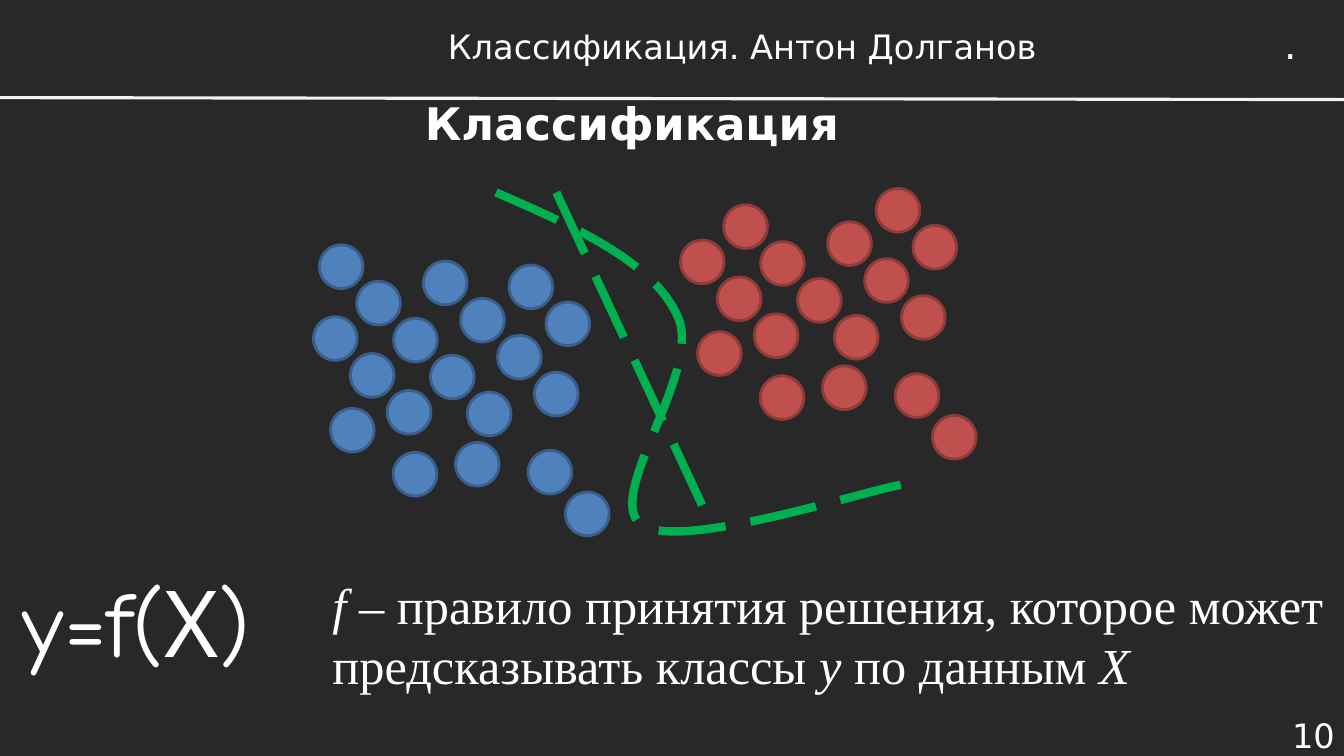
from dataclasses import dataclass

from lxml import etree
from pptx import Presentation
from pptx import util as u
from pptx.dml.color import RGBColor
from pptx.enum import dml, shapes, text
from pptx.oxml import ns

TITLE = "Классификация"
HEADER = "Классификация. Антон Долганов"
HEADER_MARK = "."
PAGE_NUMBER = "10"
FORMULA = "y=f(Х)"
RULE_RUNS = [
    ("f", True),
    (" – правило принятия решения, которое может предсказывать классы ", False),
    ("y ", True),
    ("по данным ", False),
    ("X", True),
]

DOT_SIZE = 1.1
DOT_STEP = 0.93
CLUSTER_CHAINS = [
    (8.99, 7.09, 4), (13.31, 11.35, 1), (14.25, 12.4, 1),
    (11.61, 7.52, 3), (7.9, 7.98, 3), (11.48, 11.15, 1),
    (8.33, 10.29, 1), (9.91, 11.4, 1), (12.83, 6.68, 2),
]
BLUE_ONLY_CHAINS = [(8.05, 6.17, 1), (10.67, 6.58, 1)]
RED_OFFSET = (9.25, -1.93)

HEADER_LINE = (0, 2.46, 33.87, 2.51)
STRAIGHT_BOUNDARY = (14.02, 4.85, 17.88, 13.13)
CURVE_START = (12.5, 4.85)
CURVE_CONTROLS = [
    (14.5, 5.72), (16.48, 6.6), (17.09, 8),
    (17.7, 9.37), (15.21, 12.5), (16.15, 13.21),
    (17.07, 13.92), (21.89, 12.34), (22.7, 12.22),
]
CURVE_HEIGHT = 8.53


@dataclass(frozen=True)
class Theme:
    background: str = "272827"
    ink: str = "FFFFFF"
    divider: str = "F2F2F2"
    boundary: str = "00B050"
    red: tuple = ("C0504D", "8E3B39")
    blue: tuple = ("4F81BD", "3A5F8C")
    sans: str = "DejaVu Sans"
    serif: str = "Times New Roman"
    comic: str = "Comic Neue"
    small: int = 24
    mark: int = 28
    title: int = 32
    body: int = 36
    formula: int = 66


THEME = Theme()


def color(value):
    return RGBColor.from_string(value)


def style_runs(paragraph, font_name, size, bold=False):
    for run in paragraph.runs:
        run.font.name = font_name
        run.font.size = u.Pt(size)
        run.font.bold = bold
        run.font.color.rgb = color(THEME.ink)


def add_label(slide, box, content, font_name, size, align=text.PP_ALIGN.LEFT,
              anchor=text.MSO_ANCHOR.TOP, wrap=True):
    label = slide.shapes.add_textbox(*map(u.Cm, box))
    frame = label.text_frame
    frame.word_wrap = wrap
    frame.vertical_anchor = anchor
    paragraph = frame.paragraphs[0]
    paragraph.alignment = align
    for words, italic in content:
        run = paragraph.add_run()
        run.text = words
        run.font.italic = italic
    style_runs(paragraph, font_name, size)


def style_line(line, line_color, width, dash=None):
    line.color.rgb = color(line_color)
    line.width = u.Pt(width)
    if dash:
        line.dash_style = dash


def add_line(slide, ends, line_color, width, dash=None):
    connector = slide.shapes.add_connector(
        shapes.MSO_CONNECTOR.STRAIGHT, *map(u.Cm, ends))
    style_line(connector.line, line_color, width, dash)
    etree.SubElement(connector._element.spPr, ns.qn("a:effectLst"))


def add_cluster(slide, chains, colors, offset=(0, 0)):
    fill_color, edge_color = colors
    cluster = slide.shapes.add_group_shape()
    for left, top, count in chains:
        for index in range(count):
            dot = cluster.shapes.add_shape(
                shapes.MSO_SHAPE.OVAL,
                u.Cm(left + offset[0] + index * DOT_STEP),
                u.Cm(top + offset[1] + index * DOT_STEP),
                u.Cm(DOT_SIZE), u.Cm(DOT_SIZE))
            dot.shadow.inherit = False
            dot.fill.solid()
            dot.fill.fore_color.rgb = color(fill_color)
            style_line(dot.line, edge_color, 2)


def add_curved_boundary(slide):
    builder = slide.shapes.build_freeform(*map(u.Cm, CURVE_START))
    builder.add_line_segments(
        [(u.Cm(x), u.Cm(y)) for x, y in CURVE_CONTROLS], close=False)
    curve = builder.convert_to_shape()
    curve.shadow.inherit = False
    curve.fill.background()
    style_line(curve.line, THEME.boundary, 6, dml.MSO_LINE.LONG_DASH)
    curve.height = u.Cm(CURVE_HEIGHT)
    outline = next(curve._element.iter(ns.qn("a:path")))
    outline.set("h", str(curve.height))
    segments = outline.findall(ns.qn("a:lnTo"))
    for first in range(0, len(segments), 3):
        bezier = etree.SubElement(outline, ns.qn("a:cubicBezTo"))
        for segment in segments[first:first + 3]:
            bezier.append(segment[0])
            outline.remove(segment)


def add_title(slide):
    title = slide.shapes.title
    title.left, title.top, title.width, title.height = map(
        u.Cm, (4.93, 1.93, 22, 2.31))
    frame = title.text_frame
    frame.text = TITLE
    frame.vertical_anchor = text.MSO_ANCHOR.MIDDLE
    paragraph = frame.paragraphs[0]
    paragraph.alignment = text.PP_ALIGN.CENTER
    style_runs(paragraph, THEME.sans, THEME.title, bold=True)


def main():
    presentation = Presentation()
    presentation.slide_width = u.Cm(33.87)
    presentation.slide_height = u.Cm(19.05)
    slide = presentation.slides.add_slide(presentation.slide_layouts[5])
    slide.background.fill.solid()
    slide.background.fill.fore_color.rgb = color(THEME.background)

    add_title(slide)
    add_label(slide, (31.22, 17.98, 2.67, 1.07), [(PAGE_NUMBER, False)],
              THEME.sans, THEME.small, text.PP_ALIGN.RIGHT,
              text.MSO_ANCHOR.MIDDLE)
    add_label(slide, (8.74, 0.48, 19.94, 1.35), [(HEADER, False)],
              THEME.sans, THEME.small, text.PP_ALIGN.CENTER,
              text.MSO_ANCHOR.MIDDLE)
    add_line(slide, HEADER_LINE, THEME.divider, 2.25)
    add_label(slide, (8.13, 14.33, 26.82, 3.33), RULE_RUNS,
              THEME.serif, THEME.body)
    add_label(slide, (32.11, 0.38, 0.86, 1.45), [(HEADER_MARK, False)],
              THEME.sans, THEME.mark, wrap=False)

    add_cluster(slide, CLUSTER_CHAINS, THEME.red, RED_OFFSET)
    add_cluster(slide, BLUE_ONLY_CHAINS + CLUSTER_CHAINS, THEME.blue)
    add_line(slide, STRAIGHT_BOUNDARY, THEME.boundary, 6,
             dml.MSO_LINE.LONG_DASH)
    add_curved_boundary(slide)
    add_label(slide, (0.33, 14.12, 7.8, 3.07), [(FORMULA, False)],
              THEME.comic, THEME.formula)
    presentation.save("out.pptx")


if __name__ == "__main__":
    main()
